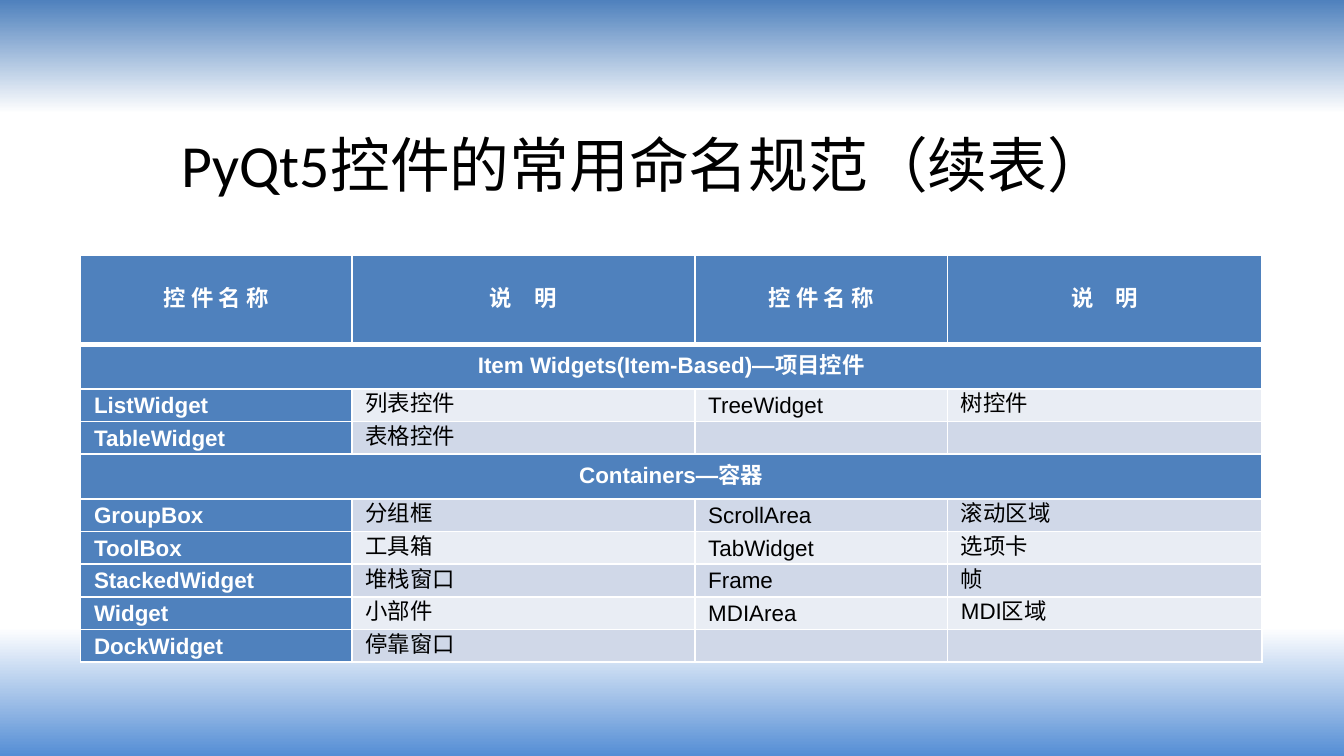
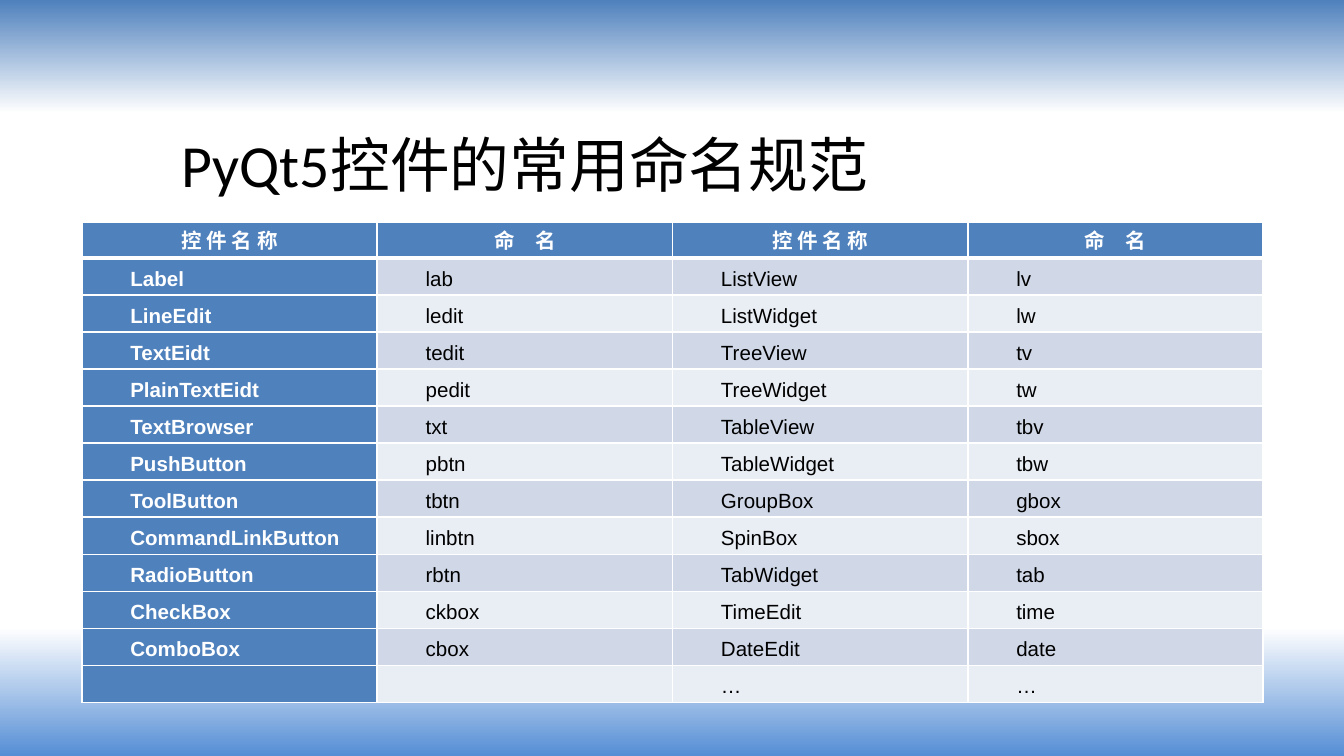
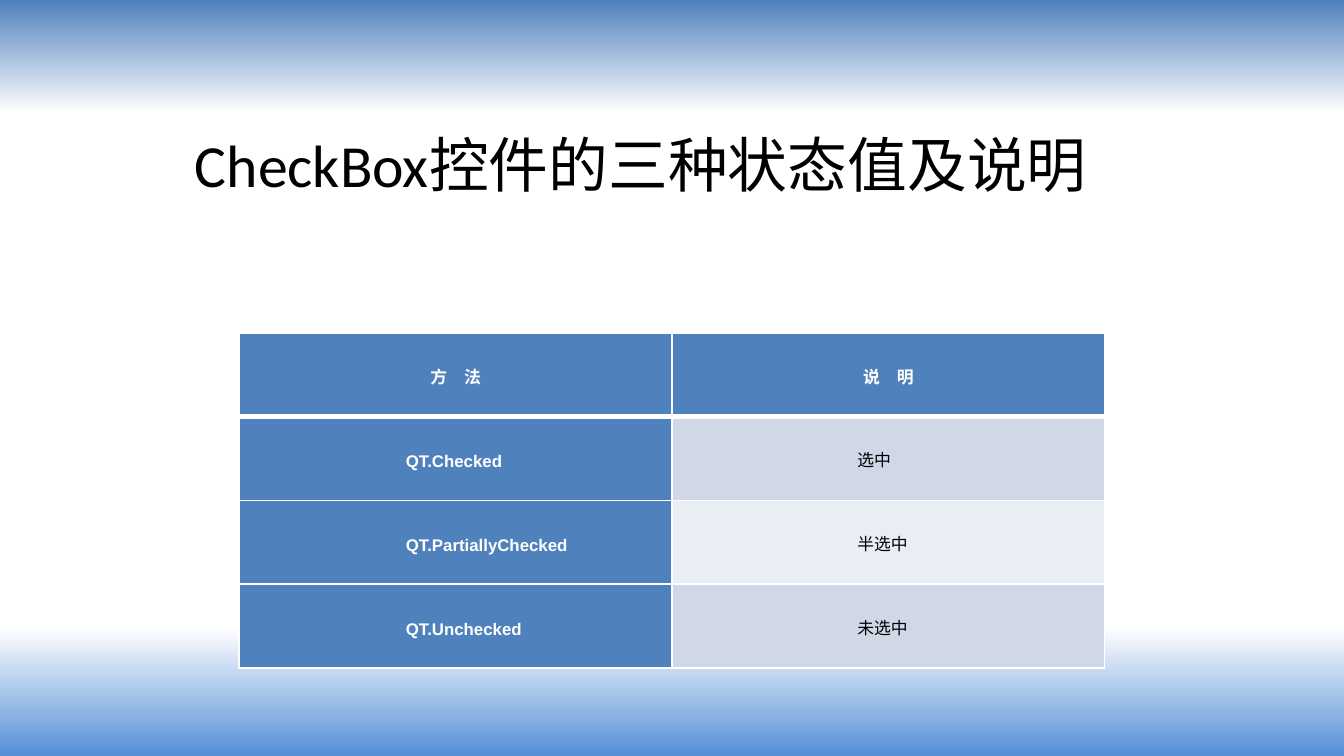
"""Build three slides of PyQt5 widget tables."""
from dataclasses import dataclass

from lxml import etree
from pptx import Presentation
from pptx.dml.color import RGBColor
from pptx.enum.text import MSO_ANCHOR, MSO_AUTO_SIZE, PP_ALIGN
from pptx.oxml.ns import qn
from pptx.util import Inches, Pt

LEFT, CENTER, JUSTIFY = PP_ALIGN.LEFT, PP_ALIGN.CENTER, PP_ALIGN.JUSTIFY
TOP, MIDDLE = MSO_ANCHOR.TOP, MSO_ANCHOR.MIDDLE
NO_AUTOFIT = MSO_AUTO_SIZE.NONE

COLORS = {
    "accent": "4F81BD",
    "floor": "558ED5",
    "white": "FFFFFF",
    "black": "000000",
    "odd_row": "D0D8E8",
    "even_row": "E9EDF4",
}
BACKGROUND_STOPS = ((0, "accent"), (15, "white"), (83, "white"), (100, "floor"))
TITLE_ONLY_LAYOUT = 5
BAND_HEIGHT = 0.33


@dataclass(frozen=True)
class TableSpec:
    """Place, measures and rows of a table; a row of one text is a band."""

    left: float
    top: float
    height: float
    widths: tuple[float, ...]
    header_height: float
    font_size: int
    line_spacing: int
    inset: float
    left_indents: tuple[float, ...]
    first_line: float
    rows: tuple[tuple[str, ...], ...]


@dataclass(frozen=True)
class SlideSpec:
    """Title, its place and the table of a slide."""

    title: str
    title_left: float
    title_width: float
    table: TableSpec


SLIDES = (
    SlideSpec("PyQt5控件的常用命名规范（续表）", 1.25, 7.5, TableSpec(
        left=0.6, top=1.9, height=3.02, widths=(2.02, 2.55, 1.88, 2.34),
        header_height=0.66, font_size=12, line_spacing=14,
        inset=0.1, left_indents=(0, 0, 0, 0), first_line=0,
        rows=(
            ("控 件 名 称", "说　明", "控 件 名 称", "说　明"),
            ("Item Widgets(Item-Based)—项目控件",),
            ("ListWidget", "列表控件", "TreeWidget", "树控件"),
            ("TableWidget", "表格控件", "", ""),
            ("Containers—容器",),
            ("GroupBox", "分组框", "ScrollArea", "滚动区域"),
            ("ToolBox", "工具箱", "TabWidget", "选项卡"),
            ("StackedWidget", "堆栈窗口", "Frame", "帧"),
            ("Widget", "小部件", "MDIArea", "MDI区域"),
            ("DockWidget", "停靠窗口", "", ""),
        ),
    )),
    SlideSpec("PyQt5控件的常用命名规范", 1.25, 6.08, TableSpec(
        left=0.61, top=1.65, height=3.58, widths=(8.79 / 4,) * 4,
        header_height=0.27, font_size=11, line_spacing=15,
        inset=0.07, left_indents=(0, 0, 0, 0), first_line=0.29,
        rows=(
            ("控 件 名 称", "命　名", "控 件 名 称", "命　名"),
            ("Label", "lab", "ListView", "lv"),
            ("LineEdit", "ledit", "ListWidget", "lw"),
            ("TextEidt", "tedit", "TreeView", "tv"),
            ("PlainTextEidt", "pedit", "TreeWidget", "tw"),
            ("TextBrowser", "txt", "TableView", "tbv"),
            ("PushButton", "pbtn", "TableWidget", "tbw"),
            ("ToolButton", "tbtn", "GroupBox", "gbox"),
            ("CommandLinkButton", "linbtn", "SpinBox", "sbox"),
            ("RadioButton", "rbtn", "TabWidget", "tab"),
            ("CheckBox", "ckbox", "TimeEdit", "time"),
            ("ComboBox", "cbox", "DateEdit", "date"),
            ("", "", "…", "…"),
        ),
    )),
    SlideSpec("CheckBox控件的三种状态值及说明", 1.35, 7.32, TableSpec(
        left=1.78, top=2.48, height=2.49, widths=(3.22, 3.22),
        header_height=0.62, font_size=9, line_spacing=14,
        inset=0.07, left_indents=(1.17, 1.31), first_line=0,
        rows=(
            ("方　法", "说　明"),
            ("QT.Checked", "选中"),
            ("QT.PartiallyChecked", "半选中"),
            ("QT.Unchecked", "未选中"),
        ),
    )),
)


def write_text(text_frame, text: str, *, size: int, font: str = "Arial",
               color: str = "black", bold: bool = False, align=LEFT,
               line_spacing: int | None = None, left_indent: float = 0,
               first_line: float = 0) -> None:
    """Write one formatted paragraph into a text frame."""
    paragraph = text_frame.paragraphs[0]
    paragraph.alignment = align
    if line_spacing:
        paragraph.line_spacing = Pt(line_spacing)
    properties = paragraph._p.get_or_add_pPr()
    properties.set("marL", str(Inches(left_indent)))
    properties.set("indent", str(Inches(first_line)))
    paragraph.font.size = Pt(size)
    if not text:
        return
    run = paragraph.add_run()
    run.text = text
    run.font.name = font
    run.font.size = Pt(size)
    run.font.bold = bold
    run.font.color.rgb = RGBColor.from_string(COLORS[color])


def add_solid_color(parent, color: str) -> None:
    """Append an RGB colour element."""
    etree.SubElement(parent, qn("a:srgbClr"), val=COLORS[color])


def set_background(master) -> None:
    """Give the slide master its vertical blue and white gradient."""
    fill = master.background.fill
    fill.gradient()
    fill.gradient_angle = 270
    stop_list = master.element.find(".//" + qn("a:gsLst"))
    for stop in list(stop_list):
        stop_list.remove(stop)
    for percent, color in BACKGROUND_STOPS:
        stop = etree.SubElement(stop_list, qn("a:gs"), pos=str(percent * 1000))
        add_solid_color(stop, color)


def set_borders(cell, row_index: int) -> None:
    """Draw white cell borders, with a heavy rule below the header."""
    widths = {
        "a:lnL": 1,
        "a:lnR": 1,
        "a:lnT": 3 if row_index == 1 else 1,
        "a:lnB": 3 if row_index == 0 else 1,
    }
    properties = cell._tc.get_or_add_tcPr()
    for position, (tag, width) in enumerate(widths.items()):
        line = etree.Element(qn(tag), w=str(Pt(width)))
        add_solid_color(etree.SubElement(line, qn("a:solidFill")), "white")
        properties.insert(position, line)


def format_cell(cell, text: str, row_index: int, column_index: int,
                is_band: bool, spec: TableSpec) -> None:
    """Fill, frame and label one table cell."""
    is_heading = row_index == 0 or is_band
    is_accent = is_heading or column_index == 0
    row_color = "odd_row" if row_index % 2 else "even_row"
    cell.fill.solid()
    cell.fill.fore_color.rgb = RGBColor.from_string(
        COLORS["accent" if is_accent else row_color])
    set_borders(cell, row_index)
    cell.vertical_anchor = MIDDLE
    cell.margin_left = cell.margin_right = Inches(0.14 if is_band else spec.inset)
    cell.margin_top = cell.margin_bottom = Inches(0.07 if is_band else 0)
    write_text(
        cell.text_frame, text, size=spec.font_size, bold=is_accent,
        color="white" if is_accent else "black",
        align=CENTER if is_heading else JUSTIFY,
        line_spacing=spec.line_spacing,
        left_indent=0 if is_heading else spec.left_indents[column_index],
        first_line=0 if is_heading else spec.first_line)


def row_heights(spec: TableSpec) -> list[float]:
    """Share the height left by header and bands among the plain rows."""
    body = spec.rows[1:]
    band_count = sum(len(texts) == 1 for texts in body)
    free_height = spec.height - spec.header_height - band_count * BAND_HEIGHT
    plain_height = free_height / (len(body) - band_count)
    return [spec.header_height] + [
        BAND_HEIGHT if len(texts) == 1 else plain_height for texts in body]


def add_widget_table(slide, spec: TableSpec) -> None:
    """Add a table with a header, label column and striped rows."""
    column_count = len(spec.widths)
    table = slide.shapes.add_table(
        len(spec.rows), column_count, Inches(spec.left), Inches(spec.top),
        Inches(sum(spec.widths)), Inches(spec.height)).table
    table.first_col = True
    for column, width in zip(table.columns, spec.widths):
        column.width = Inches(width)
    for row, height in zip(table.rows, row_heights(spec)):
        row.height = Inches(height)
    for row_index, texts in enumerate(spec.rows):
        is_band = len(texts) == 1
        if is_band:
            table.cell(row_index, 0).merge(table.cell(row_index, column_count - 1))
        for column_index in range(column_count):
            text = texts[column_index] if column_index < len(texts) else ""
            format_cell(table.cell(row_index, column_index), text,
                        row_index, column_index, is_band, spec)


def add_title(slide, spec: SlideSpec) -> None:
    """Place and format the slide title."""
    title = slide.shapes.title
    title.left, title.top = Inches(spec.title_left), Inches(0.9)
    title.width, title.height = Inches(spec.title_width), Inches(0.67)
    text_frame = title.text_frame
    text_frame.word_wrap = True
    text_frame.auto_size = NO_AUTOFIT
    text_frame.vertical_anchor = TOP
    write_text(text_frame, spec.title, size=32, font="Calibri")


def main() -> None:
    """Build and save the presentation."""
    presentation = Presentation()
    presentation.slide_width = Inches(10)
    presentation.slide_height = presentation.slide_width * 9 // 16
    set_background(presentation.slide_master)
    layout = presentation.slide_layouts[TITLE_ONLY_LAYOUT]
    for spec in SLIDES:
        slide = presentation.slides.add_slide(layout)
        add_title(slide, spec)
        add_widget_table(slide, spec.table)
    presentation.save("out.pptx")


if __name__ == "__main__":
    main()
